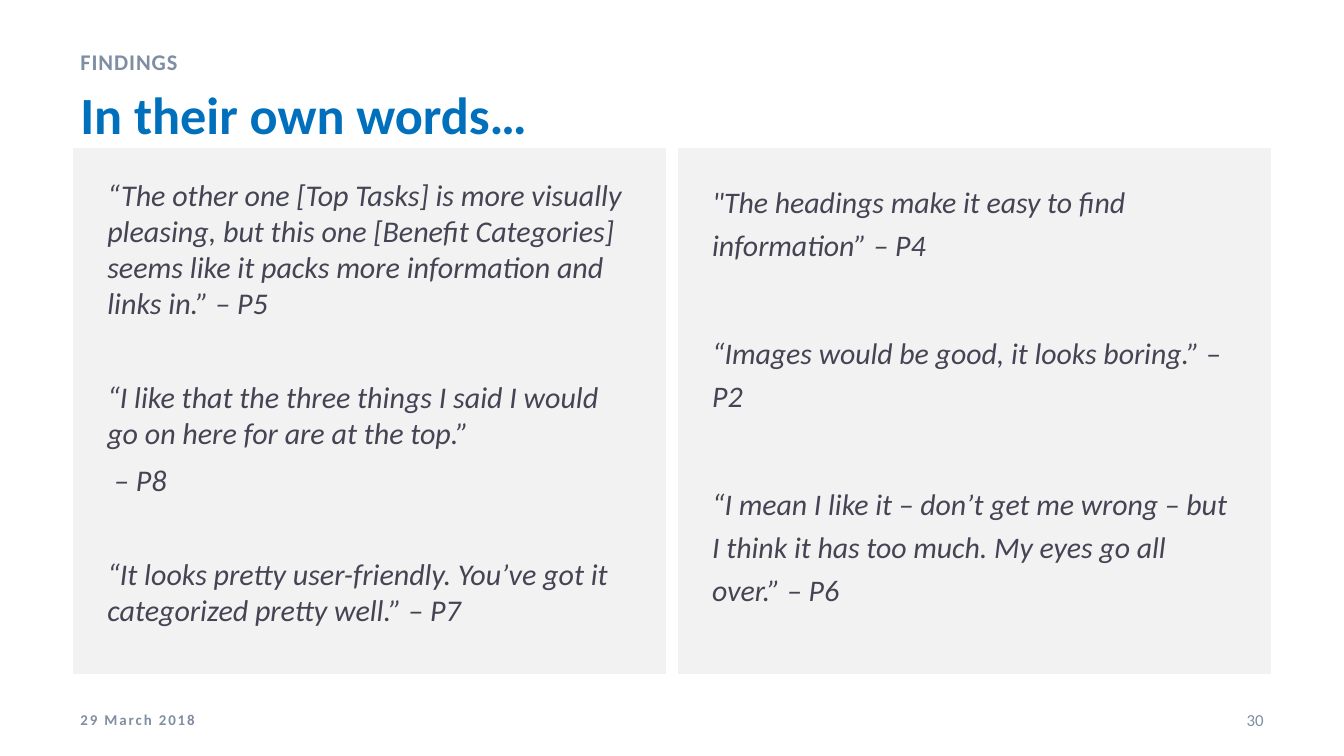
from pptx import Presentation
from pptx.dml.color import RGBColor
from pptx.enum.shapes import MSO_SHAPE
from pptx.enum.text import MSO_ANCHOR, PP_ALIGN
from pptx.util import Cm, Pt

FONT = "Calibri"
HUES = {
    "blue": "0070BC",
    "gray": "7F8EA3",
    "ink": "454454",
    "panel": "F2F2F2",
    "white": "FFFFFF",
}
EDGE = 1.27  # side margin in cm

# Each entry: quote, space after in points
LEFT = [
    ("“The other one [Top Tasks] is more visually pleasing, but this one "
     "[Benefit Categories] seems like it packs more information and links in.” – P5", 31),
    ("“I like that the three things I said I would go on here for are at the top.”", 6),
    (" – P8", 31),
    ("“It looks pretty user-friendly. You’ve got it categorized pretty well.” – P7", 6),
]
RIGHT = [
    ("\"The headings make it easy to find information” – P4", 35),
    ("“Images would be good, it looks boring.” – P2", 35),
    ("“I mean I like it – don’t get me wrong – but I think it has too much. "
     "My eyes go all over.” – P6", 6),
]


def tint(name):
    return RGBColor.from_string(HUES[name])


def add_run(para, text, size, hue, bold=False, slant=False, track=0):
    run = para.add_run()
    run.text = text
    font = run.font
    font.name, font.size = FONT, Pt(size)
    font.bold, font.italic = bold, slant
    font.color.rgb = tint(hue)
    if track:  # letter spacing in points
        run._r.get_or_add_rPr().set("spc", str(int(track * 100)))


def add_label(slide, box, text, size, hue, mid=False, align=PP_ALIGN.LEFT,
              lead=1.0, **style):
    frame = slide.shapes.add_textbox(*map(Cm, box)).text_frame
    frame.word_wrap = True
    frame.vertical_anchor = MSO_ANCHOR.MIDDLE if mid else MSO_ANCHOR.TOP
    para = frame.paragraphs[0]
    para.alignment = align
    para.line_spacing = lead
    add_run(para, text, size, hue, **style)


def add_head(slide, box):
    x, y, w, h = box
    kick = 0.74  # height of the section name
    add_label(slide, (x, y + kick, w, h - kick), "In their own words…", 28, "blue", bold=True)
    add_label(slide, (x, y, w, kick), "FINDINGS", 12, "gray", lead=1.2, bold=True, track=0.5)


def add_panel(slide, box, quotes, size, lead):
    shape = slide.shapes.add_shape(MSO_SHAPE.RECTANGLE, *map(Cm, box))
    shape.shadow.inherit = False
    shape.fill.solid()
    shape.fill.fore_color.rgb = tint("panel")
    shape.line.color.rgb = tint("white")
    shape.line.width = Pt(6)

    frame = shape.text_frame
    frame.word_wrap = True
    frame.vertical_anchor = MSO_ANCHOR.TOP
    frame.margin_left = frame.margin_right = Cm(0.76)
    frame.margin_top = frame.margin_bottom = Cm(0.64)
    for i, (text, gap) in enumerate(quotes):
        para = frame.add_paragraph() if i else frame.paragraphs[0]
        para.alignment = PP_ALIGN.LEFT
        para.line_spacing = lead
        para.space_after = Pt(gap)
        add_run(para, text, size, "ink", slant=True)


def add_foot(slide, box):
    x, y, w, h = box
    num = 1.9  # width of the page number
    add_label(slide, (x, y, w / 4, h), "29 March 2018", 8, "gray", mid=True, bold=True, track=1)
    add_label(slide, (x + w - num, y, num, h), "30", 9, "gray", mid=True, align=PP_ALIGN.RIGHT)


def main():
    deck = Presentation()
    deck.slide_width, deck.slide_height = Cm(25.4), Cm(14.29)
    slide = deck.slides.add_slide(deck.slide_layouts[6])
    wide = 25.4 - 2 * EDGE
    half = wide / 2

    # Heading
    add_head(slide, (EDGE, 0.69, 20.96, 2.49))
    # Quote panels
    add_panel(slide, (EDGE, 2.69, half, 10.16), LEFT, 16.1, 1.0)
    add_panel(slide, (EDGE + half, 2.69, half, 10.16), RIGHT, 16, 1.2)
    # Date and page number
    add_foot(slide, (EDGE, 13.23, wide, 0.76))

    deck.save("out.pptx")


if __name__ == "__main__":
    main()
